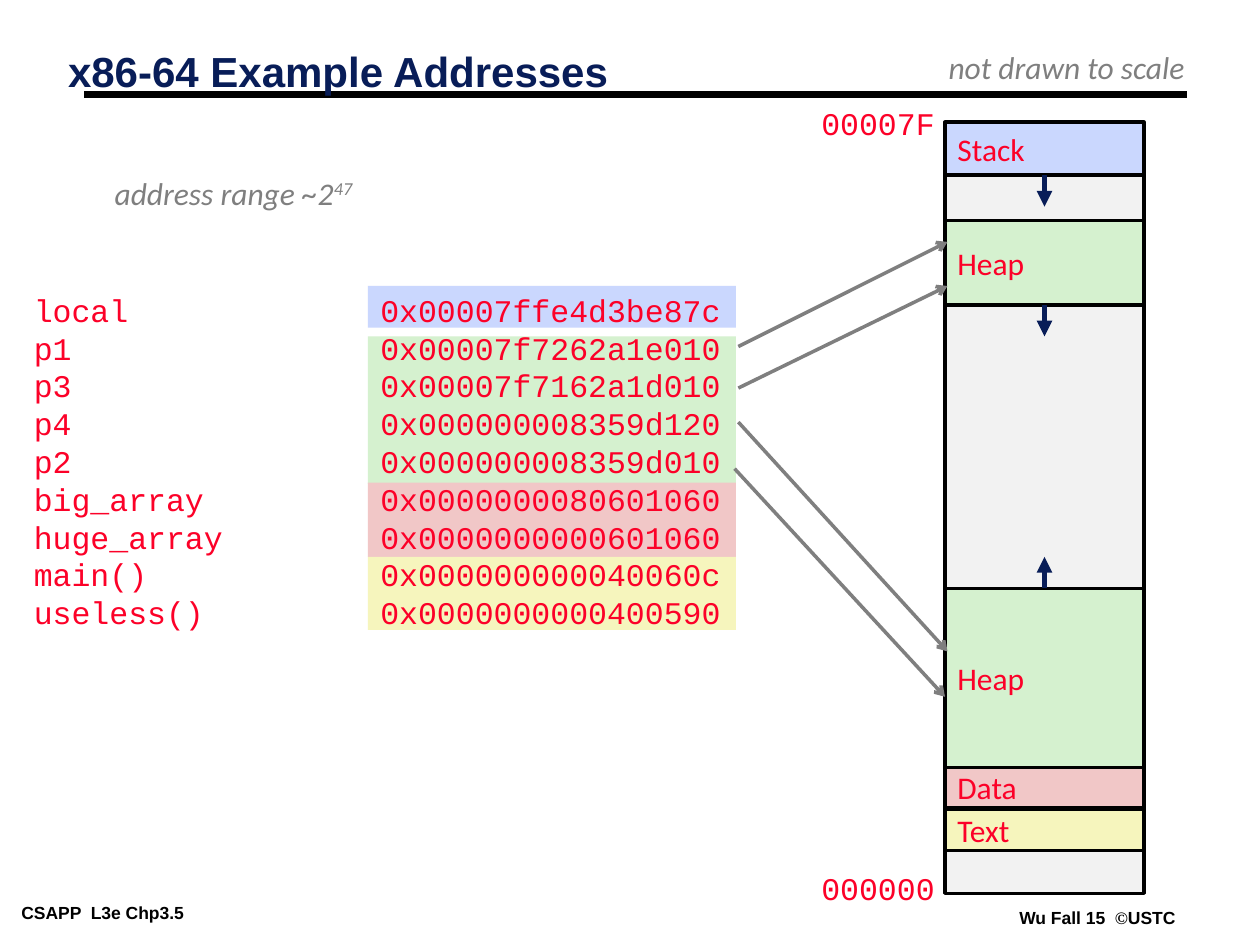
from lxml import etree
from pptx import Presentation
from pptx.dml.color import RGBColor
from pptx.enum.shapes import MSO_CONNECTOR, MSO_SHAPE
from pptx.enum.text import MSO_ANCHOR, PP_ALIGN
from pptx.oxml.ns import qn
from pptx.util import Inches, Pt

BLACK = RGBColor(0x00, 0x00, 0x00)
NAVY = RGBColor(0x08, 0x1D, 0x58)
RED = RGBColor(0xFC, 0x01, 0x28)
GRAY = RGBColor(0x7F, 0x7F, 0x7F)
UNUSED_GRAY = RGBColor(0xF2, 0xF2, 0xF2)
STACK_BLUE = RGBColor(0xCA, 0xD7, 0xFE)
HEAP_GREEN = RGBColor(0xD5, 0xF1, 0xCF)
DATA_PINK = RGBColor(0xF1, 0xC7, 0xC7)
TEXT_YELLOW = RGBColor(0xF6, 0xF5, 0xBD)

deck = Presentation()
deck.slide_width, deck.slide_height = Inches(10), Inches(7.5)
page = deck.slides.add_slide(deck.slide_layouts[6])


def add_line(start, end, color, width, arrowhead=None):
    ends = [Inches(value) for value in (*start, *end)]
    line = page.shapes.add_connector(MSO_CONNECTOR.STRAIGHT, *ends)
    line.line.color.rgb = color
    line.line.width = Pt(width)
    if arrowhead:
        etree.SubElement(line.line._get_or_add_ln(), qn("a:tailEnd"), type=arrowhead)
    etree.SubElement(line._element.spPr, qn("a:effectLst"))
    return line


def add_text(area, lines, font, size, color, inset=(0.1, 0.05), wrap=False):
    """Add a text box; each line is a list of run texts."""
    box = page.shapes.add_textbox(*[Inches(value) for value in area])
    frame = box.text_frame
    frame.word_wrap = wrap
    frame.margin_left = frame.margin_right = Inches(inset[0])
    frame.margin_top = frame.margin_bottom = Inches(inset[1])
    for index, texts in enumerate(lines):
        para = frame.add_paragraph() if index else frame.paragraphs[0]
        for text in texts:
            span = para.add_run()
            span.text = text
            span.font.name, span.font.size = font, Pt(size)
            span.font.color.rgb = color
    return frame


# Footer, title and rule
FOOTER_INSET = (0.07, 0.03)
add_line((0.67, 0.75), (9.42, 0.75), BLACK, 4.5)
course = add_text((0.1, 7.13, 1.43, 0.22), [["CSAPP  L3e Chp3.5"]],
                  "Arial", 10, BLACK, FOOTER_INSET)
credit = add_text((8.02, 7.17, 1.38, 0.22), [["Wu Fall 15  ", "©", "USTC"]],
                  "Arial", 10, BLACK, FOOTER_INSET)
title = add_text((0.47, 0.39, 7.19, 0.63), [["x86-64 Example Addresses"]],
                 "Arial", 24, NAVY, FOOTER_INSET, wrap=True)
for frame in (course, credit, title):
    for span in frame.paragraphs[0].runs:
        span.font.bold = True
credit.paragraphs[0].runs[1].font.name = "Times New Roman"
title.paragraphs[0].line_spacing = 0.87

# Colour bands behind the addresses
for top, height, color in [
    (2.27, 0.33, STACK_BLUE),
    (2.67, 1.17, HEAP_GREEN),
    (3.83, 0.59, DATA_PINK),
    (4.42, 0.58, TEXT_YELLOW),
]:
    band = page.shapes.add_shape(MSO_SHAPE.RECTANGLE, Inches(2.92), Inches(top),
                                 Inches(2.92), Inches(height))
    band.shadow.inherit = False
    band.fill.solid()
    band.fill.fore_color.rgb = color
    band.line.fill.background()

# Variables and their addresses
ADDRESSES = [
    ("local", "0x00007ffe4d3be87c"),
    ("p1 ", "0x00007f7262a1e010"),
    ("p3 ", "0x00007f7162a1d010"),
    ("p4", "0x000000008359d120"),
    ("p2", "0x000000008359d010"),
    ("big_array ", "0x0000000080601060"),
    ("huge_array ", "0x0000000000601060"),
    ("main()", "0x000000000040060c"),
    ("useless() ", "0x0000000000400590"),
]
listing = add_text((0.17, 2.26, 6.17, 2.8),
                   [[f"{name}\t{address}"] for name, address in ADDRESSES],
                   "Courier New", 18, RED, wrap=True)
for para in listing.paragraphs:
    tabs = etree.SubElement(para._p.get_or_add_pPr(), qn("a:tabLst"))
    etree.SubElement(tabs, qn("a:tab"), pos=str(Inches(2.75)), algn="l")

# Notes and end addresses of the memory map
address_range = add_text((0.86, 1.33, 1.99, 0.4), [["address range ~2", "47"]],
                         "Calibri", 18, GRAY, (0.05, 0.05))
scale_note = add_text((7.43, 0.33, 2.08, 0.4), [["not drawn to scale"]],
                      "Calibri", 18, GRAY)
for frame in (address_range, scale_note):
    for span in frame.paragraphs[0].runs:
        span.font.italic = True
address_range.paragraphs[0].runs[1].font._element.set("baseline", "30000")
for top, address in [(0.78, "00007F"), (6.85, "000000")]:
    add_text((6.42, top, 1.1, 0.4), [[address]], "Courier New", 18, RED)

# Memory map
regions = []
for top, height, label, color in [
    (0.98, 6.11, "", UNUSED_GRAY),
    (6.42, 0.33, "Text", TEXT_YELLOW),
    (6.08, 0.33, "Data", DATA_PINK),
    (4.67, 1.42, "Heap", HEAP_GREEN),
    (1.75, 0.67, "Heap", HEAP_GREEN),
    (0.97, 0.42, "Stack", STACK_BLUE),
]:
    region = page.shapes.add_shape(MSO_SHAPE.RECTANGLE, Inches(7.5), Inches(top),
                                   Inches(1.58), Inches(height))
    region.shadow.inherit = False
    region.fill.solid()
    region.fill.fore_color.rgb = color
    region.line.color.rgb = BLACK
    region.line.width = Pt(2)
    if label:
        frame = region.text_frame
        frame.text = label
        frame.vertical_anchor = MSO_ANCHOR.MIDDLE
        para = frame.paragraphs[0]
        para.alignment = PP_ALIGN.LEFT
        font = para.runs[0].font
        font.name, font.size = "Calibri", Pt(18)
        font.color.rgb = RED
    regions.append(region)

# Growth directions of the heaps and the stack
low_heap, high_heap, stack = regions[3:]
for region, side, start, end in [
    (stack, 2, 1.39, 1.64),
    (high_heap, 2, 2.42, 2.67),
    (low_heap, 0, 4.67, 4.42),
]:
    growth = add_line((8.29, start), (8.29, end), NAVY, 3, "triangle")
    growth.begin_connect(region, side)

# Pointers into the heaps
for start, end in [
    ((5.86, 2.75), (7.52, 1.92)),
    ((5.86, 3.08), (7.52, 2.27)),
    ((5.86, 3.35), (7.52, 5.17)),
    ((5.83, 3.72), (7.5, 5.53)),
]:
    add_line(start, end, GRAY, 2, "arrow")

deck.save("out.pptx")
